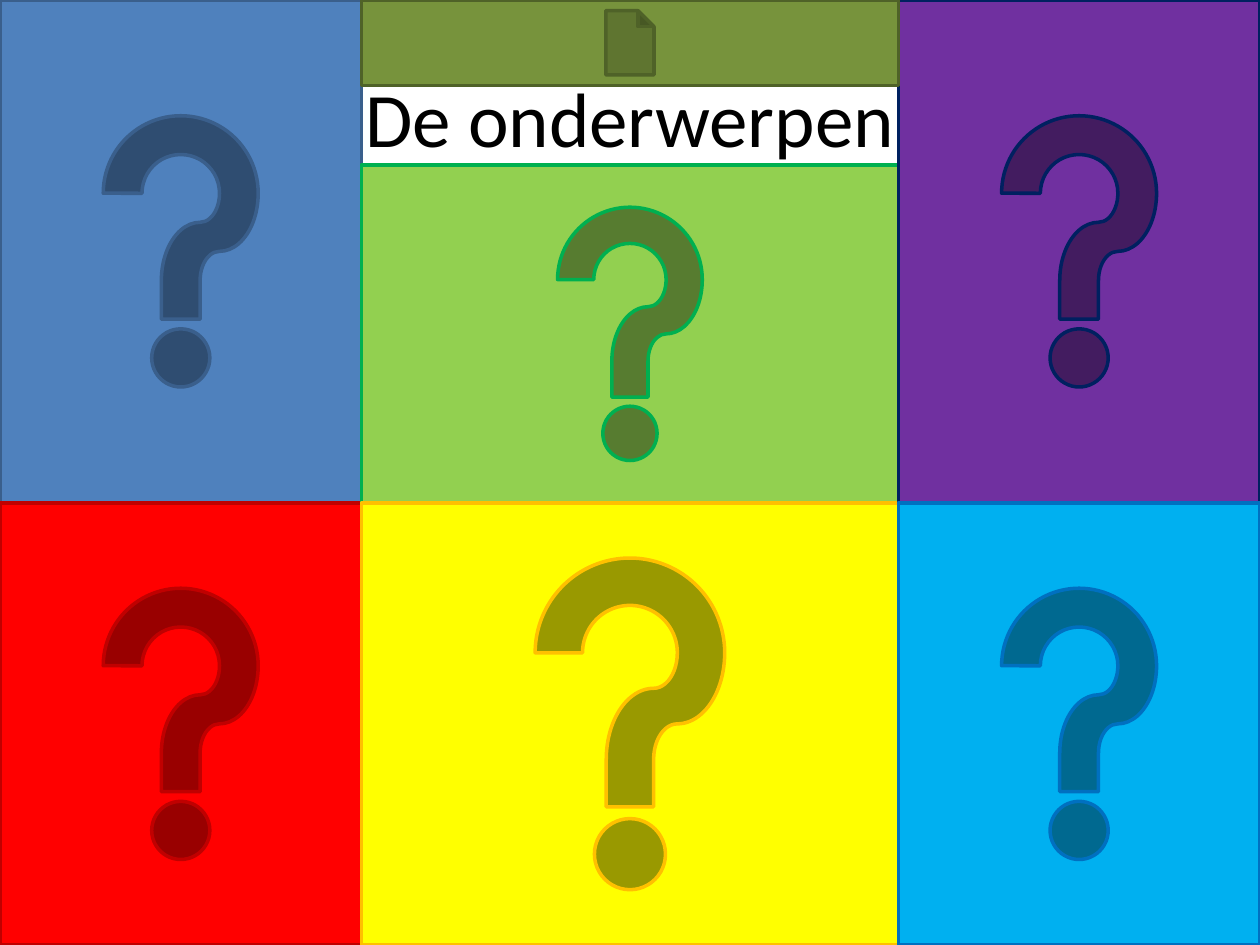
from pptx import Presentation
from pptx.dml.color import RGBColor
from pptx.enum.shapes import MSO_SHAPE as Shape
from pptx.enum.text import MSO_ANCHOR as Anchor, PP_ALIGN as Align
from pptx.util import Inches, Pt

BLACK = RGBColor(0x00, 0x00, 0x00)
BLUE = RGBColor(0x4F, 0x81, 0xBD)
DARK_BLUE = RGBColor(0x3A, 0x5F, 0x8C)
RED = RGBColor(0xFF, 0x00, 0x00)
DARK_RED = RGBColor(0xC0, 0x00, 0x00)
LIME = RGBColor(0x92, 0xD0, 0x50)
GREEN = RGBColor(0x00, 0xB0, 0x50)
YELLOW = RGBColor(0xFF, 0xFF, 0x00)
AMBER = RGBColor(0xFF, 0xC0, 0x00)
PURPLE = RGBColor(0x70, 0x30, 0xA0)
NAVY = RGBColor(0x00, 0x20, 0x60)
SKY = RGBColor(0x00, 0xB0, 0xF0)
OCEAN = RGBColor(0x00, 0x70, 0xC0)
OLIVE = RGBColor(0x77, 0x93, 0x3C)
DARK_OLIVE = RGBColor(0x4F, 0x62, 0x28)

WIDTH, HEIGHT = 10, 7.5
SIDE = 2.87
MIDDLE = WIDTH - 2 * SIDE
RIGHT = WIDTH - SIDE
TOP_ROW = 3.99
BOTTOM_ROW = HEIGHT - TOP_ROW
CENTER_TOP = 1.31
DOCUMENT_HEIGHT = 0.68

TOPIC_BUTTONS = [
    (0, 0, SIDE, TOP_ROW, BLUE, DARK_BLUE),
    (0, TOP_ROW, SIDE, BOTTOM_ROW, RED, DARK_RED),
    (SIDE, CENTER_TOP, MIDDLE, TOP_ROW - CENTER_TOP, LIME, GREEN),
    (SIDE, TOP_ROW, MIDDLE, BOTTOM_ROW, YELLOW, AMBER),
    (RIGHT, 0, SIDE, TOP_ROW, PURPLE, NAVY),
    (RIGHT, TOP_ROW, SIDE, BOTTOM_ROW, SKY, OCEAN),
]


class SlideBuilder:
    font_name = "Calibri"
    title_size = Pt(44)
    line_width = Pt(2)

    def __init__(self, slide):
        self.slide = slide

    def title(self, text, left, top, width, height):
        shape = self.slide.shapes.title
        shape.left, shape.top = Inches(left), Inches(top)
        shape.width, shape.height = Inches(width), Inches(height)
        text_frame = shape.text_frame
        text_frame.text = text
        text_frame.vertical_anchor = Anchor.MIDDLE
        paragraph = text_frame.paragraphs[0]
        paragraph.alignment = Align.CENTER
        font = paragraph.runs[0].font
        font.name = self.font_name
        font.size = self.title_size
        font.color.rgb = BLACK

    def button(self, kind, left, top, width, height, fill, line):
        shape = self.slide.shapes.add_shape(
            kind, Inches(left), Inches(top), Inches(width), Inches(height)
        )
        shape.shadow.inherit = False
        shape.fill.solid()
        shape.fill.fore_color.rgb = fill
        shape.line.color.rgb = line
        shape.line.width = self.line_width


def main():
    presentation = Presentation()
    presentation.slide_width = Inches(WIDTH)
    presentation.slide_height = Inches(HEIGHT)
    slide = presentation.slides.add_slide(presentation.slide_layouts[5])
    builder = SlideBuilder(slide)
    builder.title("De onderwerpen", 0.5, 0.3, 9, 1.25)
    for topic_button in TOPIC_BUTTONS:
        builder.button(Shape.ACTION_BUTTON_HELP, *topic_button)
    builder.button(
        Shape.ACTION_BUTTON_DOCUMENT,
        SIDE, 0, MIDDLE, DOCUMENT_HEIGHT, OLIVE, DARK_OLIVE,
    )
    presentation.save("out.pptx")


if __name__ == "__main__":
    main()
